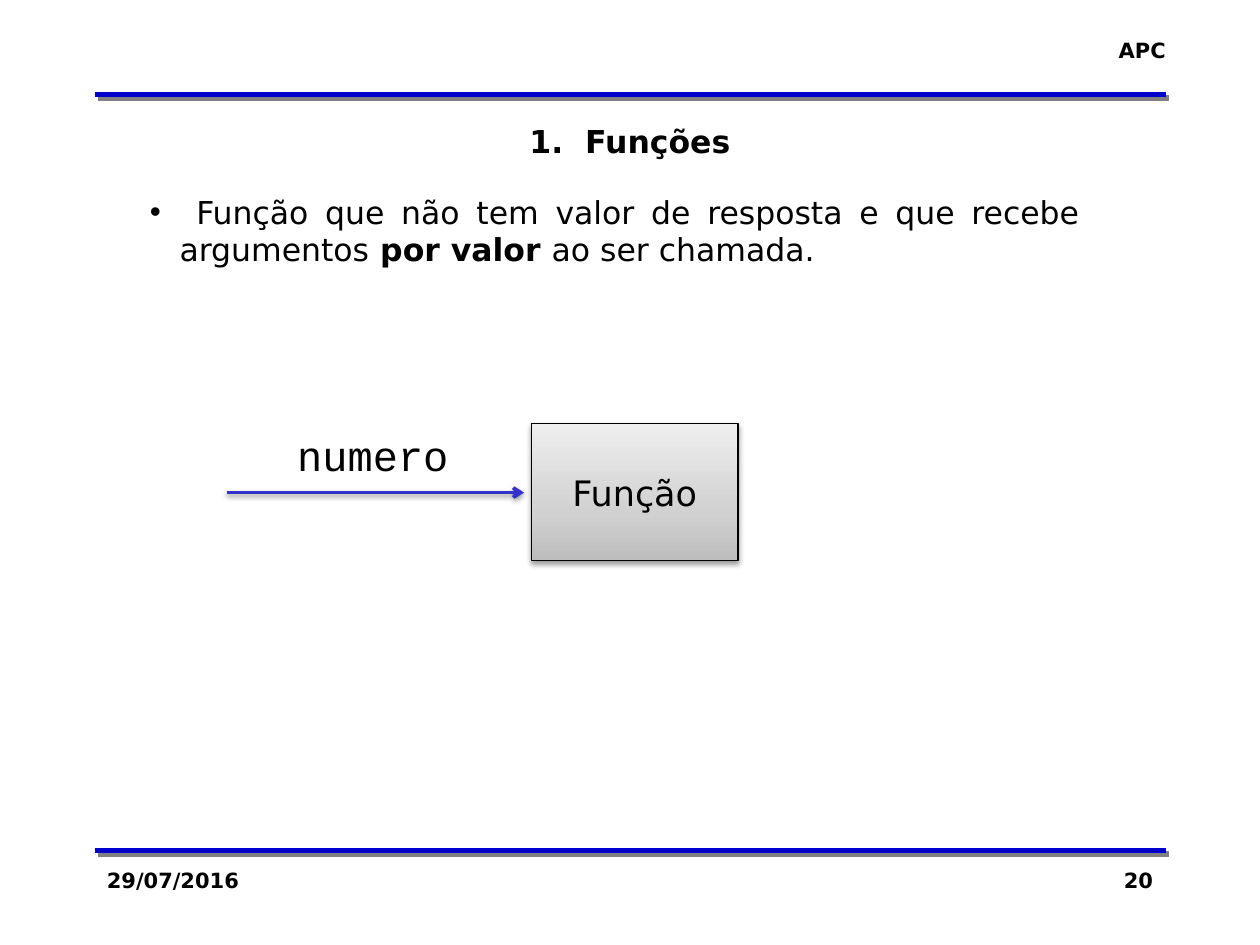
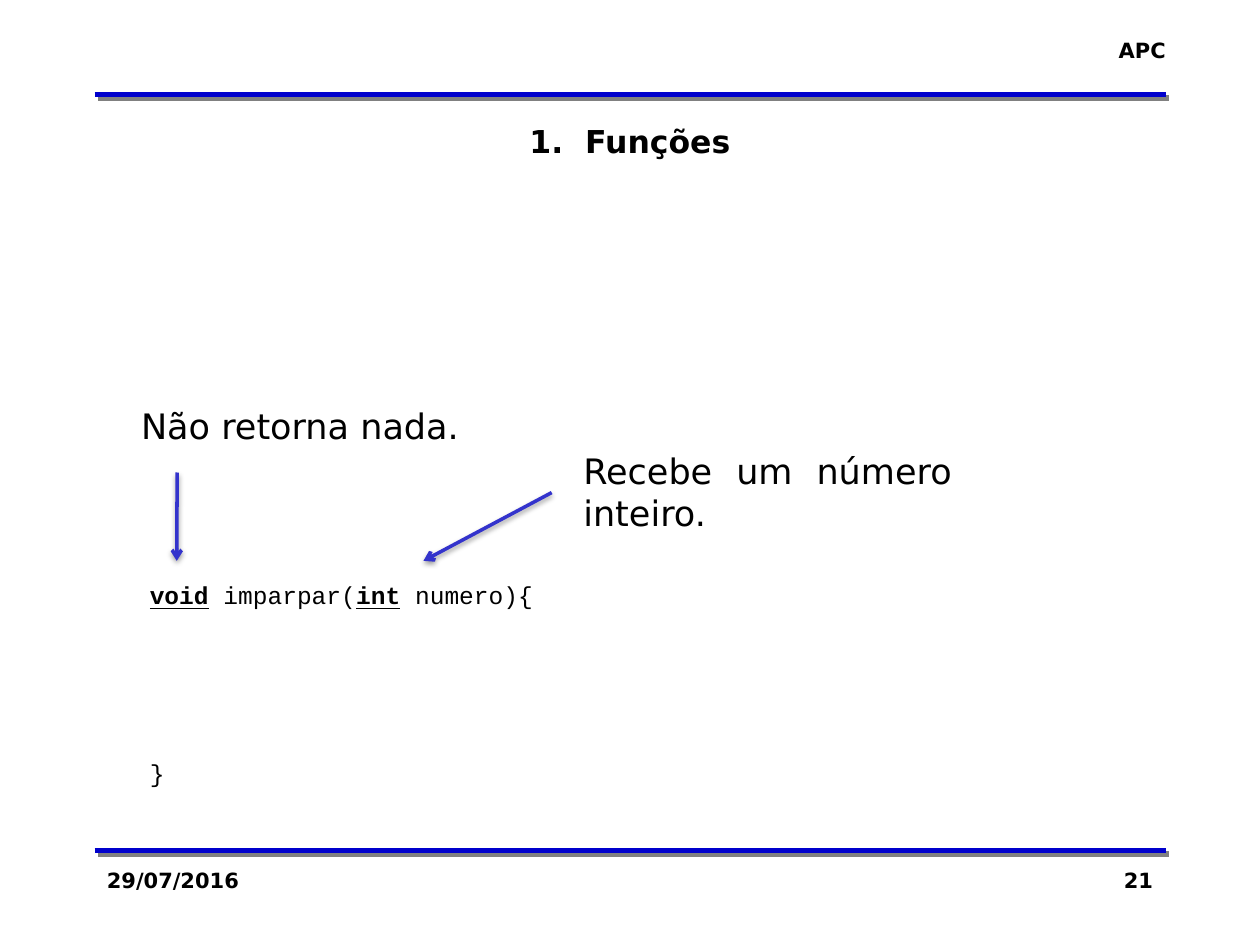
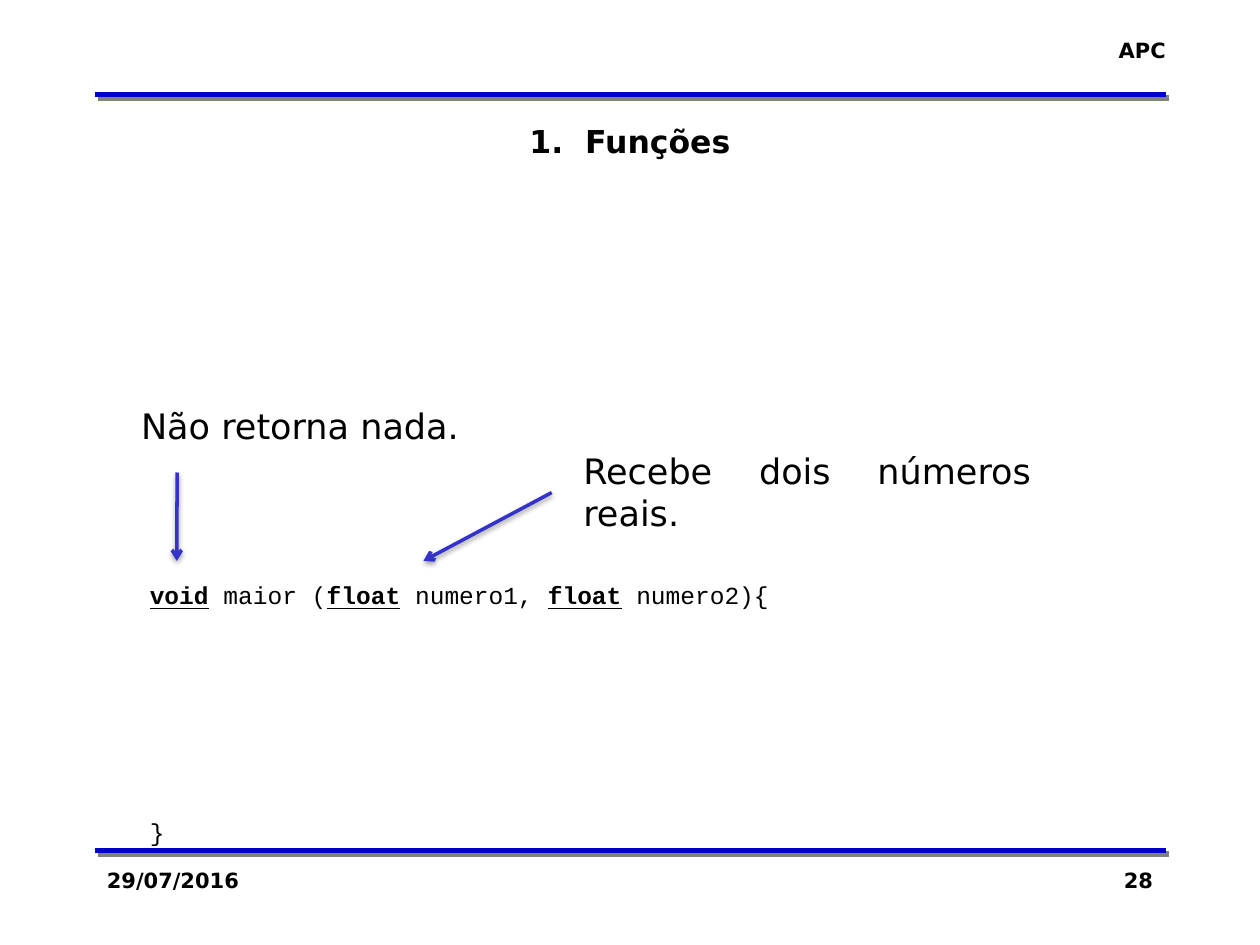
from copy import deepcopy

from lxml.etree import SubElement
from pptx import Presentation
from pptx.dml.color import RGBColor
from pptx.enum.shapes import MSO_CONNECTOR, MSO_SHAPE
from pptx.enum.text import MSO_ANCHOR, PP_ALIGN
from pptx.oxml.ns import qn
from pptx.util import Pt

BLACK = RGBColor(0x00, 0x00, 0x00)
RULE_BLUE = RGBColor(0x00, 0x00, 0xCC)
ARROW_BLUE = RGBColor(0x33, 0x33, 0xCC)
GRADIENT = [(0, RGBColor(0xBD, 0xBD, 0xBD)),
            (0.35, RGBColor(0xD1, 0xD1, 0xD1)),
            (1, RGBColor(0xEE, 0xEE, 0xEE))]
SANS, MONO = "DejaVu Sans", "Courier New"
LEFT, RIGHT = PP_ALIGN.LEFT, PP_ALIGN.RIGHT
CENTER, JUSTIFY = PP_ALIGN.CENTER, PP_ALIGN.JUSTIFY
TOP, MIDDLE = MSO_ANCHOR.TOP, MSO_ANCHOR.MIDDLE
STRAIGHT, RECTANGLE = MSO_CONNECTOR.STRAIGHT, MSO_SHAPE.RECTANGLE

RULE_SHADOW = ("808080", 100, 0, 2.8, 45)
SOFT_SHADOW = ("000000", 38, 3.1, 1.6, 90)
CONTENT_LEFT, CONTENT_TOP, CONTENT_WIDTH = 78.5, 106.5, 545.75


def write(paragraph, text, size, align=LEFT, font=SANS, bold=None, underline=None):
    """Fill a paragraph; parts between asterisks are bold, or also underlined."""
    paragraph.alignment = align
    paragraph.font.name = font
    paragraph.font.size = Pt(size)
    paragraph.font.bold = bold
    paragraph.font.color.rgb = BLACK
    for index, part in enumerate(text.split("*")):
        if part:
            span = paragraph.add_run()
            span.text = part
            if index % 2:
                span.font.bold = True
                span.font.underline = underline


def add_line(page, start, end, color, width, shadow, arrow=False):
    line = page.shapes.add_connector(STRAIGHT, *[Pt(value) for value in start + end])
    line.line.color.rgb = color
    line.line.width = Pt(width)
    properties = line.element.spPr
    if arrow:
        SubElement(properties.get_or_add_ln(), qn("a:tailEnd"), type="arrow")
    effects.append((SubElement(properties, qn("a:effectLst")), shadow))
    return line


deck = Presentation()
deck.slide_width, deck.slide_height = Pt(720), Pt(540)
layout = deck.slide_layouts[5]
pages = [deck.slides.add_slide(layout) for number in range(3)]
effects = []

# Rules and course name, shared through the layout
frame = [add_line(pages[0], (54, y), (666, y), RULE_BLUE, 3, RULE_SHADOW)
         for y in (486, 54)]
course = pages[0].shapes.add_textbox(Pt(631.5), Pt(18), Pt(41.75), Pt(21.75))
course.text_frame.word_wrap = False
write(course.text_frame.paragraphs[0], "APC", 12, RIGHT, bold=True)
for item in frame + [course]:
    layout.shapes.element.append(item.element)

# Title, date and number
for page, number in zip(pages, ("20", "21", "28")):
    title = page.shapes.title
    title.left, title.top, title.width, title.height = Pt(54), Pt(66), Pt(612), Pt(29)
    title.text_frame.vertical_anchor = TOP
    write(title.text_frame.paragraphs[0], "1.  Funções", 18, CENTER, bold=True)
    for left, text, align in ((54, "29/07/2016", LEFT), (516, number, RIGHT)):
        box = page.shapes.add_textbox(Pt(left), Pt(492), Pt(150), Pt(36))
        box.text_frame.word_wrap = True
        write(box.text_frame.paragraphs[0], text, 12, align, bold=True)

# Function diagram
page = pages[0]
function = page.shapes.add_shape(RECTANGLE, Pt(303.75), Pt(242), Pt(118), Pt(78.5))
function.fill.gradient()
function.fill.gradient_angle = 90
stops = function.element.spPr.find(".//" + qn("a:gsLst"))
stops.insert(1, deepcopy(stops[0]))
for stop, (position, color) in zip(function.fill.gradient_stops, GRADIENT):
    stop.position = position
    stop.color.rgb = color
function.line.color.rgb = BLACK
function.line.width = Pt(0.75)
function.shadow.inherit = False
effects.append((function.element.spPr.find(qn("a:effectLst")), SOFT_SHADOW))
function.text_frame.word_wrap = False
function.text_frame.vertical_anchor = MIDDLE
write(function.text_frame.paragraphs[0], "Função", 20, CENTER)

add_line(page, (129.5, 281.5), (299.5, 281.5), ARROW_BLUE, 2, SOFT_SHADOW, arrow=True)
argument = page.shapes.add_textbox(Pt(162.75), Pt(242), Pt(101.5), Pt(36.5))
argument.text_frame.word_wrap = False
write(argument.text_frame.paragraphs[0], "numero", 24, font=MONO)

# Bulleted definition
definition = page.shapes.add_textbox(
    Pt(CONTENT_LEFT), Pt(CONTENT_TOP), Pt(CONTENT_WIDTH), Pt(94.25))
definition.text_frame.word_wrap = True
paragraph = definition.text_frame.paragraphs[0]
properties = paragraph._p.get_or_add_pPr()
properties.set("marL", str(Pt(17)))
properties.set("indent", str(Pt(-17)))
SubElement(properties, qn("a:buFont"), typeface="Arial")
SubElement(properties, qn("a:buChar"), char="•")
write(paragraph, " Função que não tem valor de resposta e que recebe argumentos"
      "* por valor *ao ser chamada.", 18, JUSTIFY)

# Annotated signatures: code, box height, gap to the brace, note, note width
signatures = [
    ("*void* imparpar(*int* numero){", 363.5, 84.75, "Recebe um número inteiro.", 224.75),
    ("*void* maior (*float* numero1, *float* numero2){", 397.5, 118.5,
     "Recebe dois números reais.", 270),
]
for page, (code, height, gap, note, note_width) in zip(pages[1:], signatures):
    box = page.shapes.add_textbox(
        Pt(CONTENT_LEFT), Pt(CONTENT_TOP), Pt(CONTENT_WIDTH), Pt(height))
    box.text_frame.word_wrap = True
    box.text_frame.margin_top = Pt(225)
    write(box.text_frame.paragraphs[0], code, 14, JUSTIFY, MONO, underline=True)
    brace = box.text_frame.add_paragraph()
    brace.space_before = Pt(gap)
    write(brace, "}", 14, JUSTIFY, MONO)

    for start, end in (((315.25, 281.5), (242, 320.5)), ((101.25, 270), (101, 320.5))):
        add_line(page, start, end, ARROW_BLUE, 2, SOFT_SHADOW, arrow=True)

    for left, top, width, height, text in (
            (326.25, 253.5, note_width, 55.5, note),
            (73.5, 227.5, 224.75, 31.5, "Não retorna nada.")):
        box = page.shapes.add_textbox(Pt(left), Pt(top), Pt(width), Pt(height))
        box.text_frame.word_wrap = True
        write(box.text_frame.paragraphs[0], text, 20, JUSTIFY)

# Shadows
for effect, (color, opacity, blur, distance, angle) in effects:
    shadow = SubElement(effect, qn("a:outerShdw"), blurRad=str(Pt(blur)),
                        dist=str(Pt(distance)), dir=str(angle * 60000),
                        algn="ctr", rotWithShape="0")
    tint = SubElement(shadow, qn("a:srgbClr"), val=color)
    SubElement(tint, qn("a:alpha"), val=str(opacity * 1000))

deck.save("out.pptx")
